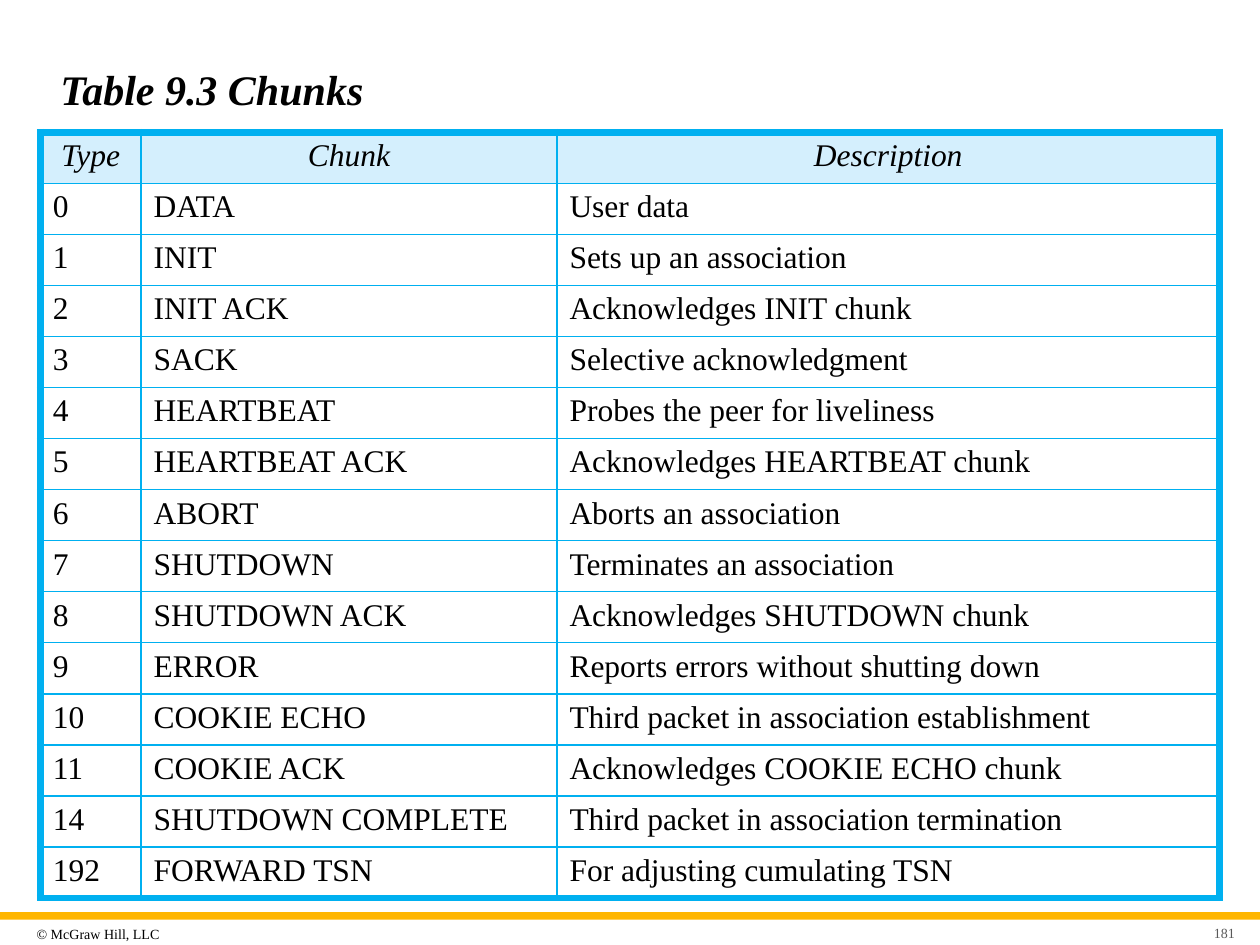
from dataclasses import dataclass

from lxml import etree
from pptx import Presentation
from pptx.dml.color import RGBColor
from pptx.enum.shapes import MSO_SHAPE
from pptx.enum.text import MSO_ANCHOR, PP_ALIGN
from pptx.oxml.ns import qn
from pptx.slide import Slide
from pptx.table import _Cell
from pptx.text.text import TextFrame
from pptx.util import Inches, Pt

RECTANGLE = MSO_SHAPE.RECTANGLE
MIDDLE = MSO_ANCHOR.MIDDLE
LEFT, CENTER, RIGHT = PP_ALIGN.LEFT, PP_ALIGN.CENTER, PP_ALIGN.RIGHT

WIDTH, HEIGHT = Inches(10), Inches(7.5)
COLORS = {
    "text": "000000",
    "muted": "595959",
    "header": "D4EFFD",
    "border": "00B0F0",
    "bar": "FFB600",
}
THIN, THICK = 1, 4.5


@dataclass(frozen=True)
class Area:
    """Position and size in percent of the slide."""
    left: float
    top: float
    width: float
    height: float

    def place(self) -> dict[str, int]:
        return {
            "left": int(WIDTH * self.left / 100),
            "top": int(HEIGHT * self.top / 100),
            "width": int(WIDTH * self.width / 100),
            "height": int(HEIGHT * self.height / 100),
        }


@dataclass(frozen=True)
class TextStyle:
    size: float
    color: str = "text"
    bold: bool = False
    italic: bool = False
    align: PP_ALIGN = LEFT


@dataclass(frozen=True)
class FooterNote:
    text: str
    area: Area
    style: TextStyle
    left_inset: float


@dataclass(frozen=True)
class Chunk:
    type: str
    name: str
    description: str


TITLE_AREA = Area(3.8, 4.4, 92.5, 9.87)
TABLE_AREA = Area(3.2, 14, 93.6, 81.07)
BAR_AREA = Area(0, 96.53, 100, 0.8)
COLUMN_SHARES = (8, 33, 52.6)

TITLE_STYLE = TextStyle(24, bold=True, italic=True)
HEADER_STYLE = TextStyle(18, italic=True, align=CENTER)
BODY_STYLE = TextStyle(18)

FOOTER_NOTES = (
    FooterNote("© McGraw Hill, LLC", Area(2.4, 97.2, 13.5, 3.2), TextStyle(8), 0.05),
    FooterNote("181", Area(94.6, 97.47, 3.9, 2.4),
               TextStyle(8, color="muted", align=RIGHT), 0.1),
)

CHUNKS = (
    Chunk("Type", "Chunk", "Description"),
    Chunk("0", "DATA", "User data"),
    Chunk("1", "INIT", "Sets up an association"),
    Chunk("2", "INIT ACK", "Acknowledges INIT chunk"),
    Chunk("3", "SACK", "Selective acknowledgment"),
    Chunk("4", "HEARTBEAT", "Probes the peer for liveliness"),
    Chunk("5", "HEARTBEAT ACK", "Acknowledges HEARTBEAT chunk"),
    Chunk("6", "ABORT", "Aborts an association"),
    Chunk("7", "SHUTDOWN", "Terminates an association"),
    Chunk("8", "SHUTDOWN ACK", "Acknowledges SHUTDOWN chunk"),
    Chunk("9", "ERROR", "Reports errors without shutting down"),
    Chunk("10", "COOKIE ECHO", "Third packet in association establishment"),
    Chunk("11", "COOKIE ACK", "Acknowledges COOKIE ECHO chunk"),
    Chunk("14", "SHUTDOWN COMPLETE", "Third packet in association termination"),
    Chunk("192", "FORWARD TSN", "For adjusting cumulating TSN"),
)


def set_attributes(target: object, values: dict) -> None:
    for name, value in values.items():
        setattr(target, name, value)


def rgb(name: str) -> RGBColor:
    return RGBColor.from_string(COLORS[name])


def write(frame: TextFrame, text: str, style: TextStyle) -> None:
    paragraph = frame.paragraphs[0]
    paragraph.alignment = style.align
    run = paragraph.add_run()
    run.text = text
    set_attributes(run.font, {
        "name": "Times New Roman",
        "size": Pt(style.size),
        "bold": style.bold,
        "italic": style.italic,
    })
    run.font.color.rgb = rgb(style.color)


def add_borders(cell: _Cell, widths: dict[str, float]) -> None:
    properties = cell._tc.get_or_add_tcPr()
    for side, width in widths.items():
        line = etree.SubElement(properties, qn(f"a:ln{side}"), w=str(Pt(width)))
        fill = etree.SubElement(line, qn("a:solidFill"))
        etree.SubElement(fill, qn("a:srgbClr"), val=COLORS["border"])


def draw_title(slide: Slide, text: str) -> None:
    title = slide.shapes.title
    set_attributes(title, TITLE_AREA.place())
    set_attributes(title.text_frame, {"vertical_anchor": MIDDLE, "word_wrap": True})
    write(title.text_frame, text, TITLE_STYLE)


def draw_bar(slide: Slide) -> None:
    bar = slide.shapes.add_shape(RECTANGLE, **BAR_AREA.place())
    bar.shadow.inherit = False
    bar.fill.solid()
    bar.fill.fore_color.rgb = rgb("bar")
    bar.line.fill.background()


def draw_footer_note(slide: Slide, note: FooterNote) -> None:
    frame = slide.shapes.add_textbox(**note.area.place()).text_frame
    set_attributes(frame, {
        "word_wrap": True,
        "vertical_anchor": MIDDLE,
        "margin_left": Inches(note.left_inset),
        "margin_right": Inches(0.05),
    })
    write(frame, note.text, note.style)


def draw_chunk_table(slide: Slide, chunks: tuple[Chunk, ...]) -> None:
    last_row, last_column = len(chunks) - 1, len(COLUMN_SHARES) - 1
    place = TABLE_AREA.place()
    table = slide.shapes.add_table(len(chunks), len(COLUMN_SHARES), **place).table
    set_attributes(table, {"first_row": False, "horz_banding": False})
    for column, share in zip(table.columns, COLUMN_SHARES):
        column.width = int(WIDTH * share / 100)
    for r, chunk in enumerate(chunks):
        table.rows[r].height = place["height"] // len(chunks)
        for c, text in enumerate((chunk.type, chunk.name, chunk.description)):
            cell = table.cell(r, c)
            add_borders(cell, {
                "L": THICK if c == 0 else THIN,
                "R": THICK if c == last_column else THIN,
                "T": THICK if r == 0 else THIN,
                "B": THICK if r == last_row else THIN,
            })
            if r == 0:
                cell.fill.solid()
                cell.fill.fore_color.rgb = rgb("header")
            else:
                cell.fill.background()
            write(cell.text_frame, text, BODY_STYLE if r else HEADER_STYLE)


def main() -> None:
    presentation = Presentation()
    set_attributes(presentation, {"slide_width": WIDTH, "slide_height": HEIGHT})
    slide = presentation.slides.add_slide(presentation.slide_layouts[5])
    draw_bar(slide)
    draw_title(slide, "Table 9.3 Chunks")
    draw_chunk_table(slide, CHUNKS)
    for note in FOOTER_NOTES:
        draw_footer_note(slide, note)
    presentation.save("out.pptx")


if __name__ == "__main__":
    main()
